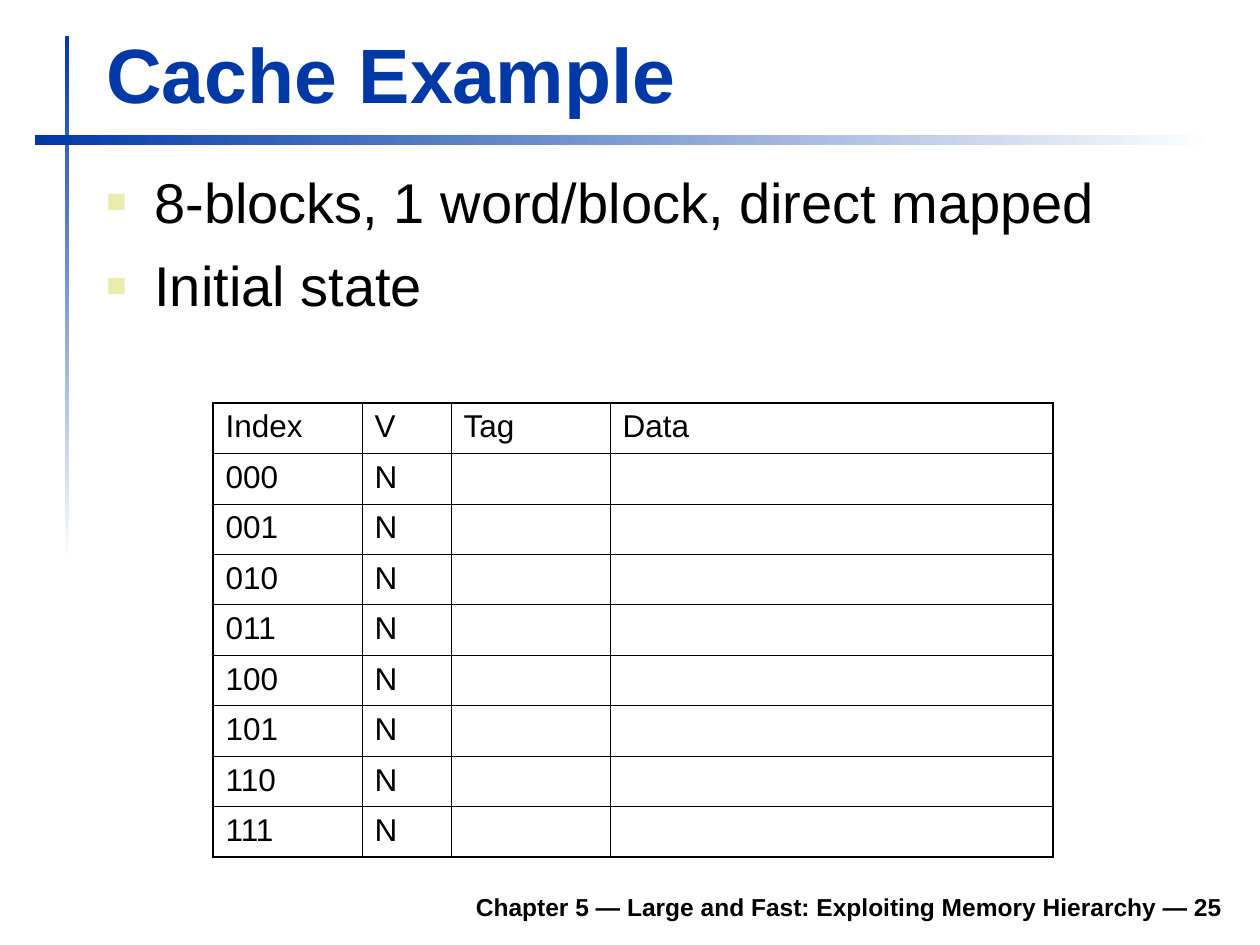
import pptx
import pptx.dml.color
import pptx.enum.shapes
import pptx.enum.text
import pptx.oxml.ns
import pptx.util
from lxml import etree

EMU_PER_PX = 914400 / 126
BLUE = pptx.dml.color.RGBColor(0x00, 0x39, 0xA6)
WHITE = pptx.dml.color.RGBColor(0xFF, 0xFF, 0xFF)
BLACK = pptx.dml.color.RGBColor(0x00, 0x00, 0x00)
BULLET_COLOR = pptx.dml.color.RGBColor(0xEC, 0xEA, 0xAC)

ANCHOR = pptx.enum.text.MSO_ANCHOR
ALIGN = pptx.enum.text.PP_ALIGN


def px(length):
    return pptx.util.Emu(round(length * EMU_PER_PX))


def add_element(parent, tag, **attributes):
    element = etree.SubElement(parent, pptx.oxml.ns.qn(tag))
    for name, value in attributes.items():
        element.set(name, str(value))
    return element


def set_values(target, values):
    for name, value in values.items():
        setattr(target, name, value)


class SlideBuilder:
    font_name = "Arial"
    thin, medium, thick = 0.45, 0.75, 1.08

    def __init__(self, slide):
        self.slide = slide

    def style_font(self, paragraph, size, color=BLACK, bold=False):
        set_values(paragraph.font, {
            "name": self.font_name, "size": pptx.util.Pt(size), "bold": bold})
        paragraph.font.color.rgb = color

    def fading_bar(self, left, top, width, height, angle):
        """Draw a bar fading to white; the angle runs counter-clockwise."""
        bar = self.slide.shapes.add_shape(
            pptx.enum.shapes.MSO_SHAPE.RECTANGLE, *map(px, (left, top, width, height)))
        bar.shadow.inherit = False
        bar.line.fill.background()
        bar.fill.gradient()
        bar.fill.gradient_angle = angle
        for stop, color in zip(bar.fill.gradient_stops, (BLUE, WHITE)):
            stop.color.rgb = color

    def text_box(self, left, top, width, height, **frame_values):
        box = self.slide.shapes.add_textbox(*map(px, (left, top, width, height)))
        set_values(box.text_frame, {"word_wrap": True, **frame_values})
        return box.text_frame

    def text_line(self, box, text, size, color=BLACK, align=ALIGN.LEFT):
        frame = self.text_box(*box, vertical_anchor=ANCHOR.BOTTOM)
        paragraph = frame.paragraphs[0]
        set_values(paragraph, {"text": text, "alignment": align})
        self.style_font(paragraph, size, color, bold=True)

    def bullet_list(self, box, items, size, space_before):
        frame = self.text_box(*box, margin_top=px(12))
        for number, item in enumerate(items):
            paragraph = frame.add_paragraph() if number else frame.paragraphs[0]
            paragraph.text = item
            if number:
                paragraph.space_before = pptx.util.Pt(space_before)
            self.add_bullet(paragraph)
            self.style_font(paragraph, size)

    def add_bullet(self, paragraph):
        properties = paragraph._p.get_or_add_pPr()
        properties.set("marL", str(px(48)))
        properties.set("indent", str(px(-48)))
        color = add_element(properties, "a:buClr")
        add_element(color, "a:srgbClr", val=BULLET_COLOR)
        add_element(properties, "a:buSzPct", val=60000)
        add_element(properties, "a:buFont", typeface=self.font_name)
        add_element(properties, "a:buChar", char="■")

    def table(self, box, column_widths, rows, size):
        graphic_frame = self.slide.shapes.add_table(
            len(rows), len(column_widths), *map(px, box))
        table = graphic_frame.table
        set_values(table, {"first_row": False, "horz_banding": False})
        for column, width in zip(table.columns, column_widths):
            column.width = px(width)
        last_row, last_column = len(rows) - 1, len(column_widths) - 1
        for i, row in enumerate(rows):
            for j, text in enumerate(row):
                cell = table.cell(i, j)
                cell.text = text
                self.style_font(cell.text_frame.paragraphs[0], size)
                self.add_borders(cell, {
                    "L": self.thin if j else self.thick,
                    "R": self.thick if j == last_column else self.thin,
                    "T": {0: self.thick, 1: self.medium}.get(i, self.thin),
                    "B": {0: self.medium, last_row: self.thick}.get(i, self.thin)})
                cell.fill.background()

    def add_borders(self, cell, widths):
        properties = cell._tc.get_or_add_tcPr()
        for side, width in widths.items():
            line = add_element(properties, f"a:ln{side}", w=int(pptx.util.Pt(width)))
            fill = add_element(line, "a:solidFill")
            add_element(fill, "a:srgbClr", val=BLACK)


def main():
    presentation = pptx.Presentation()
    presentation.slide_width = px(1260)
    presentation.slide_height = px(945)
    builder = SlideBuilder(presentation.slides.add_slide(presentation.slide_layouts[6]))

    builder.fading_bar(65, 36, 4, 525, angle=270)
    builder.fading_bar(35, 135, 1180, 10, angle=0)
    builder.text_line((233, 879, 1002, 49),
                      "Chapter 5 — Large and Fast: Exploiting Memory Hierarchy — 25",
                      14, align=ALIGN.RIGHT)
    builder.text_line((94, 20, 1138, 105), "Cache Example", 44, BLUE)
    builder.bullet_list((94, 155, 1139, 184),
                        ["8-blocks, 1 word/block, direct mapped", "Initial state"],
                        size=32, space_before=9.5)

    cache_rows = [[f"{index:03b}", "N", "", ""] for index in range(8)]
    builder.table((213, 403, 840, 454), [149, 89, 159, 443],
                  [["Index", "V", "Tag", "Data"], *cache_rows], size=18)

    presentation.save("out.pptx")


if __name__ == "__main__":
    main()
